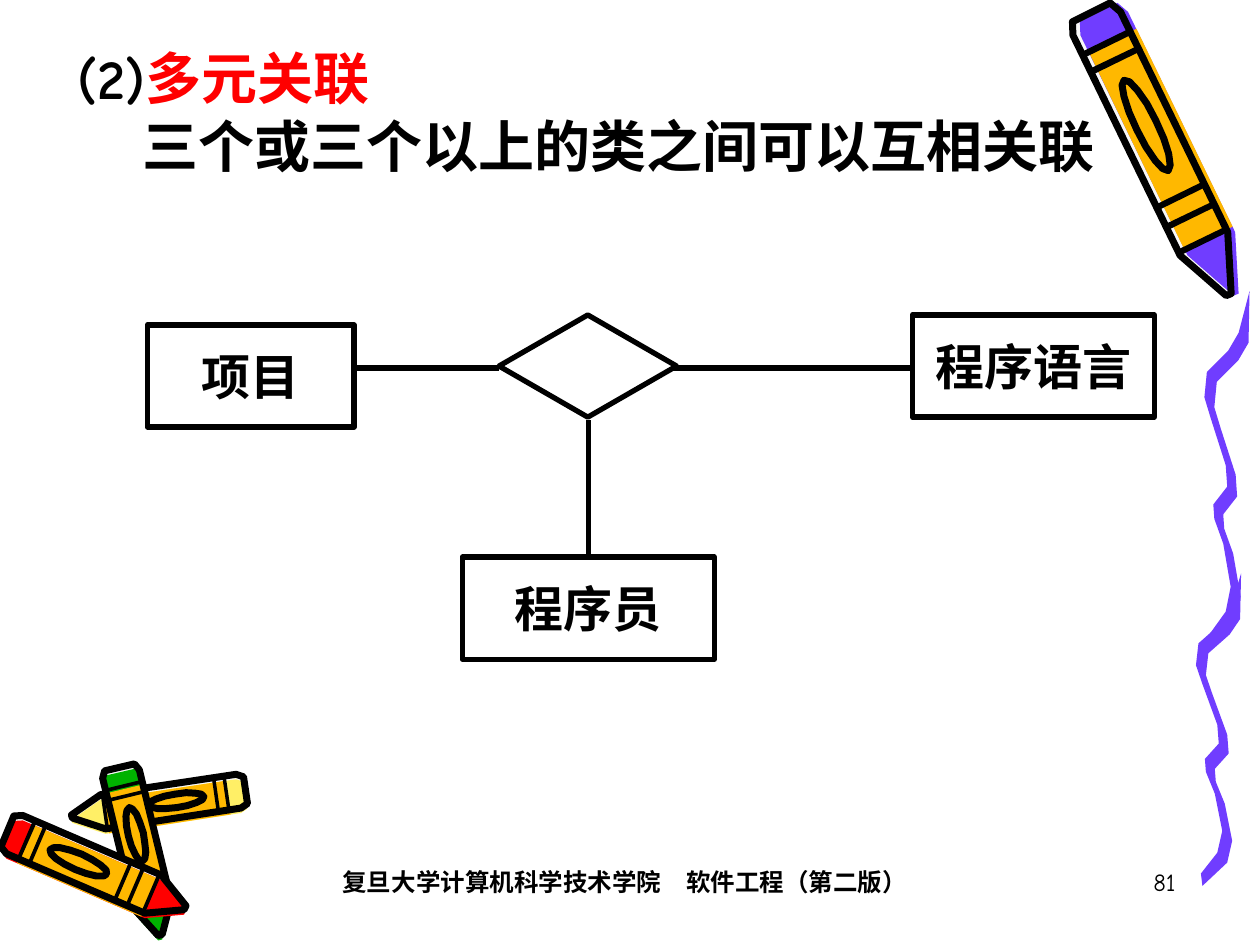
import math

import pptx
import pptx.util
import pptx.dml.color
import pptx.enum.shapes
import pptx.enum.text
import pptx.oxml.ns
import lxml.etree

Cm = pptx.util.Cm
Pt = pptx.util.Pt
SHAPES = pptx.enum.shapes.MSO_SHAPE
ALIGN = pptx.enum.text.PP_ALIGN

COLOURS = {
    "black": "000000", "white": "F8F8F8", "violet": "703DFF", "orange": "FFB800",
    "yellow": "FFEF66", "red": "FF0000", "green": "00B200",
}


def style(run, size, font, colour="black", bold=True):
    run.font.size = Pt(size)
    run.font.name = font
    run.font.bold = bold
    run.font.color.rgb = pptx.dml.color.RGBColor.from_string(COLOURS[colour])


def draw_outline(group, points, fill, ink, weight=0):
    hundredths = [(round(x * 100), round(y * 100)) for x, y in points]
    pen = group.shapes.build_freeform(*hundredths[0], scale=Cm(0.01))
    pen.add_line_segments(hundredths[1:], close=True)
    outline = pen.convert_to_shape()
    outline.shadow.inherit = False
    for paint, colour in [(outline.fill, fill), (outline.line.fill, ink)]:
        if colour:
            paint.solid()
            paint.fore_color.rgb = pptx.dml.color.RGBColor.from_string(COLOURS[colour])
        else:
            paint.background()
    if ink:
        outline.line.width = Pt(weight)


deck = pptx.Presentation()
deck.slide_width = Cm(25.4)
deck.slide_height = Cm(19.05)
slide = deck.slides.add_slide(deck.slide_layouts[6])

# Crayon parts: (share of length from butt to tip, share of width from the axis)
BARREL = [(0, -0.4), (0, 0.4), (0.04, 0.5), (0.82, 0.5), (1, 0.05),
          (1, -0.05), (0.82, -0.5), (0.04, -0.5)]
WRAPPER = [(0.1, -0.5), (0.1, 0.5), (0.8, 0.5), (0.8, -0.5)]
BANDS = [[(start, -0.5), (start, 0.5), (start + 0.02, 0.5), (start + 0.02, -0.5)]
         for start in (0.1, 0.16, 0.64, 0.71, 0.8)]
LABEL = [(0.4 + 0.16 * math.cos(turn * math.pi / 8), 0.2 * math.sin(turn * math.pi / 8))
         for turn in range(16)]

CRAYONS = [
    {"butt": (22.0, 0.25), "tip": (24.77, 5.94), "width": 1.07, "wax": "violet", "shade": (0.15, 0)},
    {"butt": (4.95, 15.93), "tip": (1.45, 16.46), "width": 0.69, "wax": "yellow", "shade": (0, 0.1)},
    {"butt": (2.41, 15.47), "tip": (3.23, 18.85), "width": 0.76, "wax": "green", "shade": (0, 0.1)},
    {"butt": (0.15, 16.76), "tip": (3.73, 18.3), "width": 0.84, "wax": "red", "shade": (0, 0.1)},
]
for crayon in CRAYONS:
    butt_x, butt_y = crayon["butt"]
    run_x, run_y = crayon["tip"][0] - butt_x, crayon["tip"][1] - butt_y
    slimness = crayon["width"] / math.hypot(run_x, run_y)
    layers = [
        (BARREL, "white", None, (0, 0)),
        (BARREL, crayon["wax"], None, crayon["shade"]),
        (WRAPPER, "orange", None, crayon["shade"]),
        *[(band, "black", None, (0, 0)) for band in BANDS],
        (LABEL, None, "black", (0, 0)),
        (BARREL, None, "black", (0, 0)),
    ]
    group = slide.shapes.add_group_shape()
    for part, fill, ink, (shift_x, shift_y) in layers:
        placed = [(butt_x + along * run_x - across * slimness * run_y + shift_x,
                   butt_y + along * run_y + across * slimness * run_x + shift_y)
                  for along, across in part]
        draw_outline(group, placed, fill, ink, weight=4)

# Squiggle bends: (cm from the left edge, share of the height)
BENDS = [(0.69, 0.13), (0.48, 0.18), (0.05, 0.24), (0, 0.31), (0.13, 0.37), (0.43, 0.5),
         (0.46, 0.56), (0.18, 0.61), (0.2, 0.65), (0.38, 0.72), (0.53, 0.84), (0.43, 0.91)]
HALF_STROKE = 0.1
squiggle = slide.shapes.add_group_shape()
for left, top, height in [(24.21, 11.56, 6.3), (24.38, 5.87, 7.21)]:
    bends = [(left + x, top + share * height) for x, share in BENDS]
    start = (left + 0.81, top)
    end = [(left + 0.03, top + height), (left, top + 0.96 * height)]
    near_side = [(x - HALF_STROKE, y - HALF_STROKE) for x, y in reversed(bends)]
    far_side = [(x + HALF_STROKE, y + HALF_STROKE) for x, y in bends]
    draw_outline(squiggle, [start, *far_side, *end, *near_side], "violet", None)

heading = slide.shapes.add_textbox(Cm(1.32), Cm(1.02), Cm(23.29), Cm(2.97)).text_frame
heading.word_wrap = True
term = heading.paragraphs[0]
for text, colour in [("(2)", "black"), ("多元关联", "red")]:
    run = term.add_run()
    run.text = text
    style(run, 32, "Comic Neue", colour)
definition = heading.add_paragraph()
definition.text = "三个或三个以上的类之间可以互相关联"
style(definition.runs[0], 32, "Comic Neue")
definition.space_before = Pt(8)
definition._p.get_or_add_pPr().set("marL", str(Cm(1.3)))
for paragraph in heading.paragraphs:
    paragraph.line_spacing = 0.8

for left, width, text, align, bold in [
    (5.08, 15.04, "复旦大学计算机科学技术学院　软件工程（第二版）", ALIGN.CENTER, True),
    (18.67, 5.28, "81", ALIGN.RIGHT, False),
]:
    footer = slide.shapes.add_textbox(Cm(left), Cm(17.35), Cm(width), Cm(1.27)).text_frame
    footer.word_wrap = True
    footer.text = text
    footer.paragraphs[0].alignment = align
    style(footer.paragraphs[0].runs[0], 14, "Comic Neue", bold=bold)

black = pptx.dml.color.RGBColor.from_string(COLOURS["black"])
for kind, left, top, width, class_name in [
    (SHAPES.FLOWCHART_DECISION, 10.06, 6.35, 3.58, ""),
    (SHAPES.RECTANGLE, 2.97, 6.55, 4.17, "项目"),
    (SHAPES.RECTANGLE, 18.39, 6.35, 4.88, "程序语言"),
    (SHAPES.RECTANGLE, 9.32, 11.23, 5.08, "程序员"),
]:
    node = slide.shapes.add_shape(kind, Cm(left), Cm(top), Cm(width), Cm(2.06))
    node.shadow.inherit = False
    node.fill.background()
    node.line.color.rgb = black
    node.line.width = Pt(3)
    if class_name:
        node.text_frame.text = class_name
        node.text_frame.paragraphs[0].alignment = ALIGN.CENTER
        style(node.text_frame.paragraphs[0].runs[0], 28, "Times New Roman")

for start_x, start_y, end_x, end_y in [
    (10.06, 7.42, 7.19, 7.42),
    (13.54, 7.42, 18.42, 7.42),
    (11.86, 11.23, 11.86, 8.46),
]:
    association = slide.shapes.add_connector(
        pptx.enum.shapes.MSO_CONNECTOR.STRAIGHT, Cm(start_x), Cm(start_y), Cm(end_x), Cm(end_y))
    association.line.color.rgb = black
    association.line.width = Pt(3)
    lxml.etree.SubElement(association._element.spPr, pptx.oxml.ns.qn("a:effectLst"))

deck.save("out.pptx")
